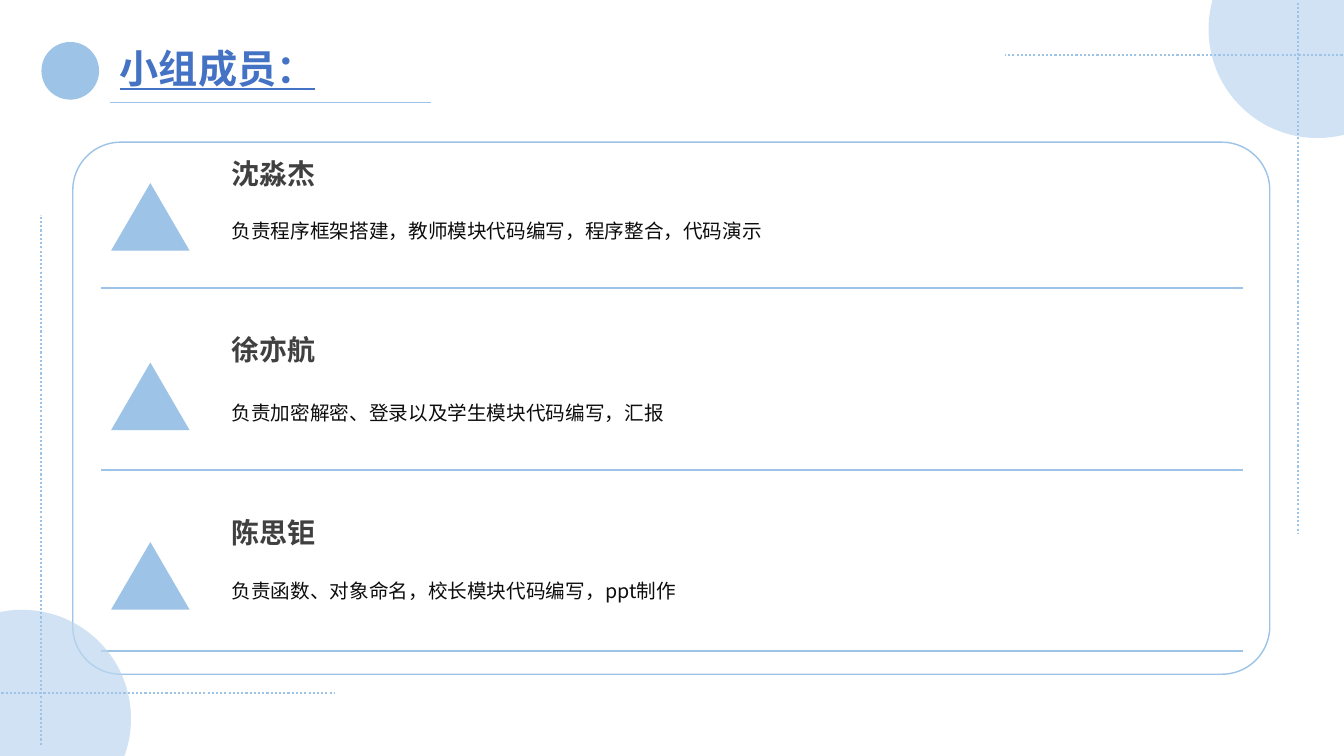
from dataclasses import dataclass

from lxml import etree
from pptx import Presentation
from pptx import util as u
from pptx.dml.color import RGBColor
from pptx.enum import dml, shapes, text
from pptx.oxml import ns

FONT = "Noto Sans CJK SC"
COLORS = {
    "line": "9DC3E6",
    "bubble": "BDD7EE",
    "title": "4472C4",
    "name": "404040",
    "duty": "0D0D0D",
}
Shape = shapes.MSO_SHAPE
Align = text.PP_ALIGN


@dataclass
class Member:
    name: str
    duty: str
    name_top: float
    duty_top: float


@dataclass
class Corner:
    left: float
    top: float
    horizontal: tuple[float, float, float, float]
    vertical: tuple[float, float, float, float]


MEMBERS = [
    Member("沈淼杰", "负责程序框架搭建，教师模块代码编写，程序整合，代码演示", 108, 144.7),
    Member("徐亦航", "负责加密解密、登录以及学生模块代码编写，汇报", 234, 274.3),
    Member("陈思钜", "负责函数、对象命名，校长模块代码编写，ppt制作", 365, 401.8),
]
CORNERS = [
    Corner(863.3, -56.9, (962, 39.4, 718, 39.4), (927.4, 2, 927.4, 381)),
    Corner(-61.9, 435.6, (-5, 494.8, 239, 494.8), (29.6, 532, 29.6, 153.4)),
]


def color(key: str) -> RGBColor:
    return RGBColor.from_string(COLORS[key])


def add_shape(s, kind, left: float, top: float, width: float, height: float,
              fill: str | None = None, line: str | None = None,
              alpha: int | None = None):
    sp = s.shapes.add_shape(kind, u.Pt(left), u.Pt(top), u.Pt(width), u.Pt(height))
    sp.shadow.inherit = False
    if fill:
        sp.fill.solid()
        sp.fill.fore_color.rgb = color(fill)
    else:
        sp.fill.background()
    if line:
        sp.line.color.rgb = color(line)
        sp.line.width = u.Pt(1)
    else:
        sp.line.fill.background()
    if alpha is not None:
        clr = sp.fill._xPr.find(".//" + ns.qn("a:srgbClr"))
        etree.SubElement(clr, ns.qn("a:alpha")).set("val", str(alpha * 1000))
    return sp


def add_line(s, x1: float, y1: float, x2: float, y2: float,
             width: float = 1.5, dotted: bool = False) -> None:
    cx = s.shapes.add_connector(shapes.MSO_CONNECTOR.STRAIGHT,
                                u.Pt(x1), u.Pt(y1), u.Pt(x2), u.Pt(y2))
    cx.line.color.rgb = color("line")
    cx.line.width = u.Pt(width)
    if dotted:
        cx.line.dash_style = dml.MSO_LINE.ROUND_DOT
    etree.SubElement(cx._element.spPr, ns.qn("a:effectLst"))


def add_text(s, content: str, left: float, top: float, width: float, height: float,
             *, size: float, fill: str, bold: bool = False, underline: bool = False,
             spacing: float | None = None, align: Align | None = None) -> None:
    sp = s.shapes.add_textbox(u.Pt(left), u.Pt(top), u.Pt(width), u.Pt(height))
    tf = sp.text_frame
    tf.word_wrap = True
    tf.auto_size = text.MSO_AUTO_SIZE.SHAPE_TO_FIT_TEXT
    p = tf.paragraphs[0]
    p.alignment = align
    p.line_spacing = spacing
    r = p.add_run()
    r.text = content
    r.font.size = u.Pt(size)
    r.font.bold = bold
    r.font.underline = underline
    r.font.color.rgb = color(fill)
    r.font.name = FONT
    etree.SubElement(r.font._element, ns.qn("a:ea")).set("typeface", FONT)


def add_member(s, i: int, member: Member) -> None:
    rule_y = 206 + 129.6 * i
    add_line(s, 72, rule_y, 888, rule_y)
    add_shape(s, Shape.ISOSCELES_TRIANGLE, 79.4, 130.8 + 128.2 * i, 56, 48.2, fill="line")
    add_text(s, member.name, 158.4, member.name_top, 167, 31.5,
             size=20, fill="name", bold=True)
    add_text(s, member.duty, 158.4, member.duty_top, 727, 32.4,
             size=14, fill="duty", spacing=1.5)


def add_corner(s, corner: Corner) -> None:
    add_shape(s, Shape.OVAL, corner.left, corner.top, 155.5, 155.5,
              fill="bubble", alpha=70)
    add_line(s, *corner.horizontal, dotted=True)
    add_line(s, *corner.vertical, dotted=True)


def main() -> None:
    prs = Presentation()
    prs.slide_width, prs.slide_height = u.Pt(960), u.Pt(540)
    s = prs.slides.add_slide(prs.slide_layouts[6])

    frame = add_shape(s, Shape.ROUNDED_RECTANGLE, 52, 101.6, 855, 380, line="line")
    frame.adjustments[0] = 0.09
    for i, member in enumerate(MEMBERS):
        add_member(s, i, member)
    for corner in CORNERS:
        add_corner(s, corner)

    add_shape(s, Shape.OVAL, 29.6, 30, 41.2, 41.2, fill="line")
    add_line(s, 78.5, 73.2, 307.7, 73.2, width=0.5)
    add_text(s, "小组成员：", 78.5, 28, 229, 41.2, size=28, fill="title",
             bold=True, underline=True, align=Align.JUSTIFY)

    prs.save("out.pptx")


if __name__ == "__main__":
    main()
